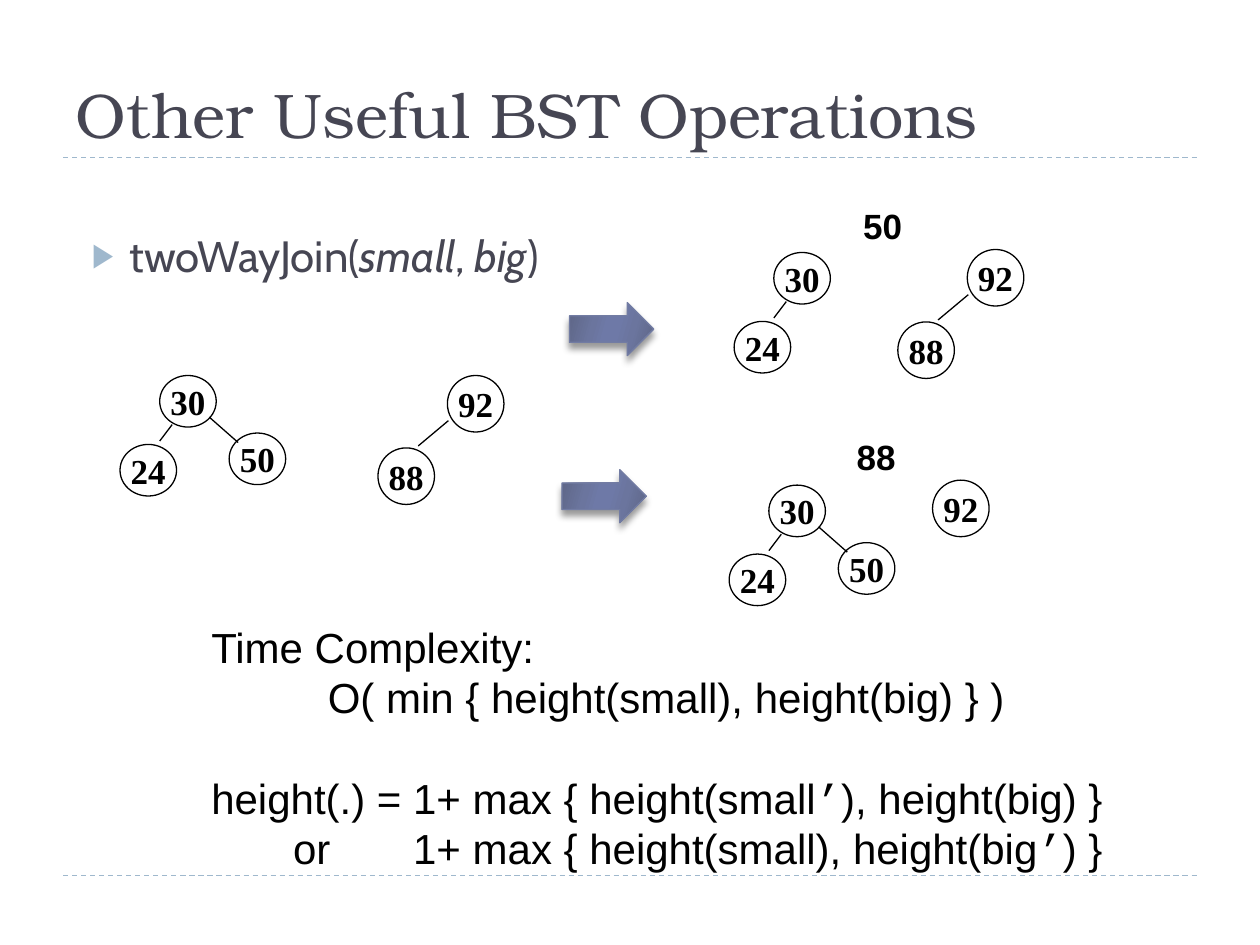
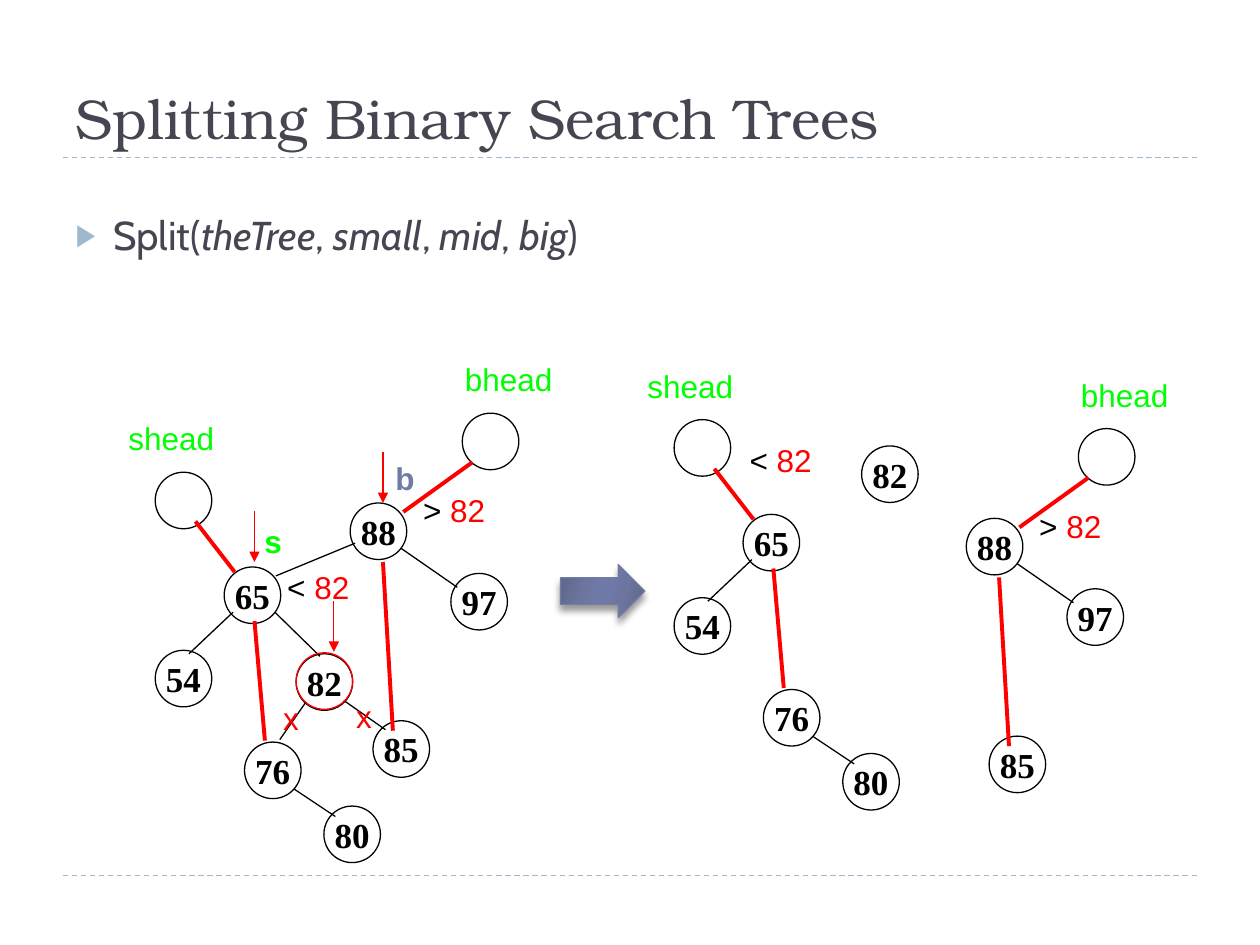
from lxml import etree
from pptx import Presentation
from pptx import util as u
from pptx.dml.color import RGBColor
from pptx.enum import dml, shapes, text
from pptx.oxml import parse_xml
from pptx.oxml.ns import qn

DRAWING = 'xmlns:a="http://schemas.openxmlformats.org/drawingml/2006/main"'
BLACK, RED, GREEN = "000000", "FF0000", "00FF00"
INK, SLATE, PALE = "464653", "727CA3", "9FB8CD"
SHADES = [(0, "5D6585"), (30, "6B759E"), (45, "6E79A7"),
          (55, "6E79A7"), (73, "6B759E"), (100, "5D6585")]
NODE = 1.14


def paint(color_format, value):
    color_format.rgb = RGBColor.from_string(value)


def set_font(font, name, size, color=BLACK, bold=None):
    font.name, font.size, font.bold = name, u.Pt(size), bold
    paint(font.color, color)


def cm_box(*lengths):
    return [u.Cm(length) for length in lengths]


def set_indent(para, left, first):
    properties = para._p.get_or_add_pPr()
    properties.set("marL", str(u.Cm(left)))
    properties.set("indent", str(u.Cm(first)))
    return properties


def add_line(page, x, y, ends, color=BLACK, width=0.75, arrow=False):
    x1, y1, x2, y2 = ends
    line = page.shapes.add_connector(
        shapes.MSO_CONNECTOR.STRAIGHT, *cm_box(x + x1, y + y1, x + x2, y + y2))
    paint(line.line.color, color)
    line.line.width = u.Pt(width)
    if arrow:
        etree.SubElement(line.line._get_or_add_ln(), qn("a:tailEnd"), type="triangle")
    etree.SubElement(line._element.spPr, qn("a:effectLst"))
    return line


def add_node(page, x, y, value="", height=NODE, color=BLACK):
    node = page.shapes.add_shape(shapes.MSO_SHAPE.OVAL, *cm_box(x, y, NODE, height))
    node.shadow.inherit = False
    node.fill.background()
    paint(node.line.color, color)
    node.line.width = u.Pt(0.75)
    if value:
        frame = node.text_frame
        frame.word_wrap = False
        frame.vertical_anchor = text.MSO_ANCHOR.MIDDLE
        para = frame.paragraphs[0]
        para.text = value
        para.alignment = text.PP_ALIGN.CENTER
        set_font(para.font, "Times New Roman", 20, bold=True)


def add_label(page, x, y, width, spans, size=18, bold=None):
    box = page.shapes.add_textbox(*cm_box(x, y, width, 1.02))
    box.text_frame.word_wrap = False
    box.text_frame.auto_size = text.MSO_AUTO_SIZE.SHAPE_TO_FIT_TEXT
    para = box.text_frame.paragraphs[0]
    for words, color in spans:
        span = para.add_run()
        span.text = words
        set_font(span.font, "Arial", size, color, bold)


def add_comparison(page, x, y, sign):
    add_label(page, x, y, 1.8, [(f"{sign} ", BLACK), ("82", RED)])


def add_block_arrow(page, x, y):
    arrow = page.shapes.add_shape(shapes.MSO_SHAPE.RIGHT_ARROW, *cm_box(x, y, 1.7, 1.07))
    paint(arrow.line.color, SLATE)
    arrow.line.width = u.Pt(0.75)
    stops = "".join(f'<a:gs pos="{place * 1000}"><a:srgbClr val="{shade}"/></a:gs>'
                    for place, shade in SHADES)
    gradient = parse_xml(f'<a:gradFill {DRAWING} rotWithShape="1"><a:gsLst>{stops}</a:gsLst>'
                         '<a:lin ang="960000" scaled="1"/></a:gradFill>')
    outline = arrow.line._get_or_add_ln()
    outline.addprevious(gradient)
    outline.addnext(parse_xml(
        f'<a:effectLst {DRAWING}><a:outerShdw blurRad="{u.Pt(4)}" dist="{u.Pt(3.4)}" '
        'dir="5400000" rotWithShape="0"><a:srgbClr val="000000"><a:alpha val="40000"/>'
        '</a:srgbClr></a:outerShdw></a:effectLst>'))


def add_rules(deck, page):
    for y in (3.18, 17.65):
        rule = add_line(page, 0, y, (1.27, 0, 24.13, 0), PALE)
        rule.line.dash_style = dml.MSO_LINE.DASH
        deck.slide_master.shapes._spTree.append(rule._element)


def place(holder, box):
    holder.left, holder.top, holder.width, holder.height = cm_box(*box)
    holder.text_frame.auto_size = text.MSO_AUTO_SIZE.NONE
    return holder.text_frame


def fill_title(page, words, size, width):
    frame = place(page.shapes.title, (1.27, 0.33, width, 2.84))
    frame.vertical_anchor = text.MSO_ANCHOR.BOTTOM
    para = frame.paragraphs[0]
    para.text = words
    para.alignment = text.PP_ALIGN.LEFT
    set_font(para.font, "TeX Gyre Bonum", size, INK)


def fill_call(page, box, name, arguments, size, top_inset=0.13):
    frame = place(page.placeholders[1], box)
    frame.margin_top = u.Cm(top_inset)
    para = frame.paragraphs[0]
    set_font(para.font, "Cabin", size, INK)
    para.space_before = u.Pt(5)
    properties = set_indent(para, 1.52, -0.76)
    bullet = parse_xml(f'<a:b {DRAWING}><a:buClr><a:srgbClr val="{PALE}"/></a:buClr>'
                       '<a:buSzPct val="76000"/><a:buFont typeface="Arial"/>'
                       '<a:buChar char="▶"/></a:b>')
    default_font = properties.find(qn("a:defRPr"))
    for part in list(bullet):
        default_font.addprevious(part)
    lead = f"{name}("
    for argument in arguments:
        para.add_run().text = lead
        span = para.add_run()
        span.text = argument
        span.font.italic = True
        lead = ", "
    para.add_run().text = ")"


def draw_small_tree(page, x, y, with_50=True):
    add_node(page, x + 0.8, y, "30", 1.04)
    add_node(page, x, y + 1.39, "24", 1.04)
    add_line(page, x, y, (1.05, 0.99, 0.8, 1.32))
    if with_50:
        add_node(page, x + 2.2, y + 1.16, "50", 1.04)
        add_line(page, x, y, (1.8, 0.84, 2.38, 1.35))


def draw_big_tree(page, x, y):
    add_node(page, x + 1.4, y, "92")
    add_node(page, x, y + 1.46, "88")
    add_line(page, x, y, (1.42, 0.91, 0.81, 1.42))


def write_complexity(page, x, y):
    box = page.shapes.add_textbox(*cm_box(x, y, 18.9, 5.38))
    frame = box.text_frame
    frame.word_wrap = False
    rows = [("Time Complexity:", 0, 0, 0),
            ("O( min { height(small), height(big) } )", 2.35, 0, 0),
            ("height(.) = 1+ max { height(small’), height(big) }", 0, 0, 28.8),
            ("or\t1+ max { height(small), height(big’) }", 4.07, -2.42, 0)]
    for index, (words, left, first, gap) in enumerate(rows):
        para = frame.add_paragraph() if index else frame.paragraphs[0]
        para.line_spacing = u.Pt(28.8)
        para.space_before = u.Pt(gap)
        set_indent(para, left, first)
        before, prime, after = words.partition("’")
        for part, font_name in ((before, "Arial"), (prime, "Courier New"), (after, "Arial")):
            if part:
                span = para.add_run()
                span.text = part
                set_font(span.font, font_name, 24)


def draw_small_chain(page, x, y):
    add_label(page, x, y, 2.26, [("shead", GREEN)])
    for left, top, value in [(0.79, 1.19, ""), (2.18, 3.1, "65"), (0.79, 4.78, "54"),
                             (2.59, 6.63, "76"), (4.19, 7.92, "80")]:
        add_node(page, x + left, y + top, value)
    for ends in [(2.36, 4.01, 1.47, 4.85), (3.58, 7.57, 4.42, 8.13)]:
        add_line(page, x, y, ends)
    for ends in [(1.6, 2.18, 2.39, 3.2), (2.79, 4.19, 3, 6.6)]:
        add_line(page, x, y, ends, RED, 2.25)


def draw_big_chain(page, x, y):
    add_label(page, x + 2.06, y, 2.28, [("bhead", GREEN)])
    for left, top, value in [(2.26, 1.19, ""), (0, 3, "88"), (2.03, 4.42, "97"),
                             (0.46, 7.39, "85")]:
        add_node(page, x + left, y + top, value)
    add_line(page, x, y, (1.02, 3.91, 2.16, 4.7))
    add_comparison(page, x + 1.22, y + 2.64, ">")
    for ends in [(2.46, 2.18, 1.07, 3.18), (0.66, 4.19, 0.86, 7.59)]:
        add_line(page, x, y, ends, RED, 2.25)


def draw_whole_tree(page, x, y):
    draw_small_chain(page, x, y + 1.19)
    draw_big_chain(page, x + 4.72, y)
    add_node(page, x + 3.63, y + 6.04, "82")
    for ends in [(4.82, 3.81, 3.22, 4.47), (3.2, 5.2, 4.11, 6.09),
                 (3.83, 7.01, 3.3, 7.77), (4.59, 6.98, 5.43, 7.57)]:
        add_line(page, x, y, ends)
    for left, top in [(5.38, 1.98), (2.79, 3.17), (4.39, 4.98)]:
        add_line(page, x + left, y + top, (0, 0, 0, 1.02), RED, arrow=True)
    add_node(page, x + 3.63, y + 6.02, color=RED)
    add_comparison(page, x + 3.2, y + 4.19, "<")
    for left, top, letter, color, bold in [
            (3.12, 6.83, "x", RED, None), (4.59, 6.78, "x", RED, None),
            (2.74, 3.25, "s", GREEN, True), (5.38, 1.98, "b", SLATE, True)]:
        add_label(page, x + left, y + top, 0.86, [(letter, color)], bold=bold)


def build_join_slide(page):
    fill_title(page, "Other Useful BST Operations", 36, 20.62)
    fill_call(page, (0.84, 3.45, 22.86, 2.39), "twoWayJoin", ["small", "big"], 25, 1.17)
    draw_small_tree(page, 2.42, 7.57)
    draw_big_tree(page, 7.62, 7.57)
    add_block_arrow(page, 11.48, 6.1)
    add_label(page, 17.15, 3.99, 1.3, [("50", BLACK)], 20, True)
    draw_small_tree(page, 14.8, 5.09, with_50=False)
    draw_big_tree(page, 18.1, 5.03)
    add_block_arrow(page, 11.33, 9.47)
    add_label(page, 17.02, 8.66, 1.3, [("88", BLACK)], 20, True)
    draw_small_tree(page, 14.7, 9.78)
    add_node(page, 18.8, 9.68, "92")
    write_complexity(page, 4.01, 12.4)


def build_split_slide(page):
    fill_title(page, "Splitting Binary Search Trees", 32, 20.96)
    fill_call(page, (0.51, 4.11, 22.86, 2.24), "Split",
              ["theTree", "small", "mid", "big"], 23)
    draw_whole_tree(page, 2.34, 7.14)
    add_block_arrow(page, 11.3, 11.38)
    draw_small_chain(page, 12.8, 7.27)
    add_comparison(page, 14.86, 8.76, "<")
    add_node(page, 17.37, 8.99, "82")
    draw_big_chain(page, 19.48, 7.45)


def main():
    deck = Presentation()
    deck.slide_width, deck.slide_height = cm_box(25.4, 19.05)
    pages = [deck.slides.add_slide(deck.slide_layouts[1]) for _ in range(2)]
    add_rules(deck, pages[0])
    build_join_slide(pages[0])
    build_split_slide(pages[1])
    deck.save("out.pptx")


if __name__ == "__main__":
    main()
